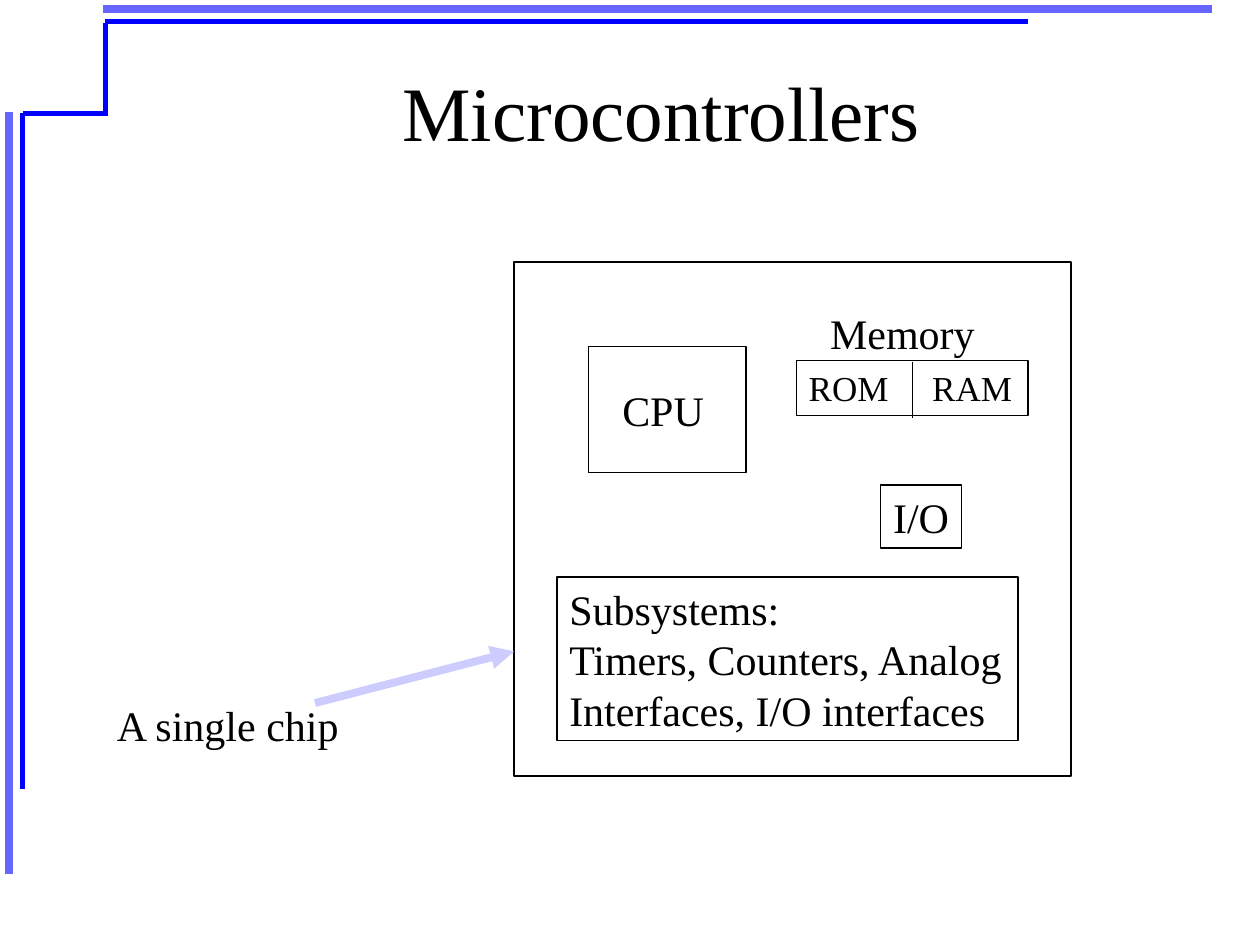
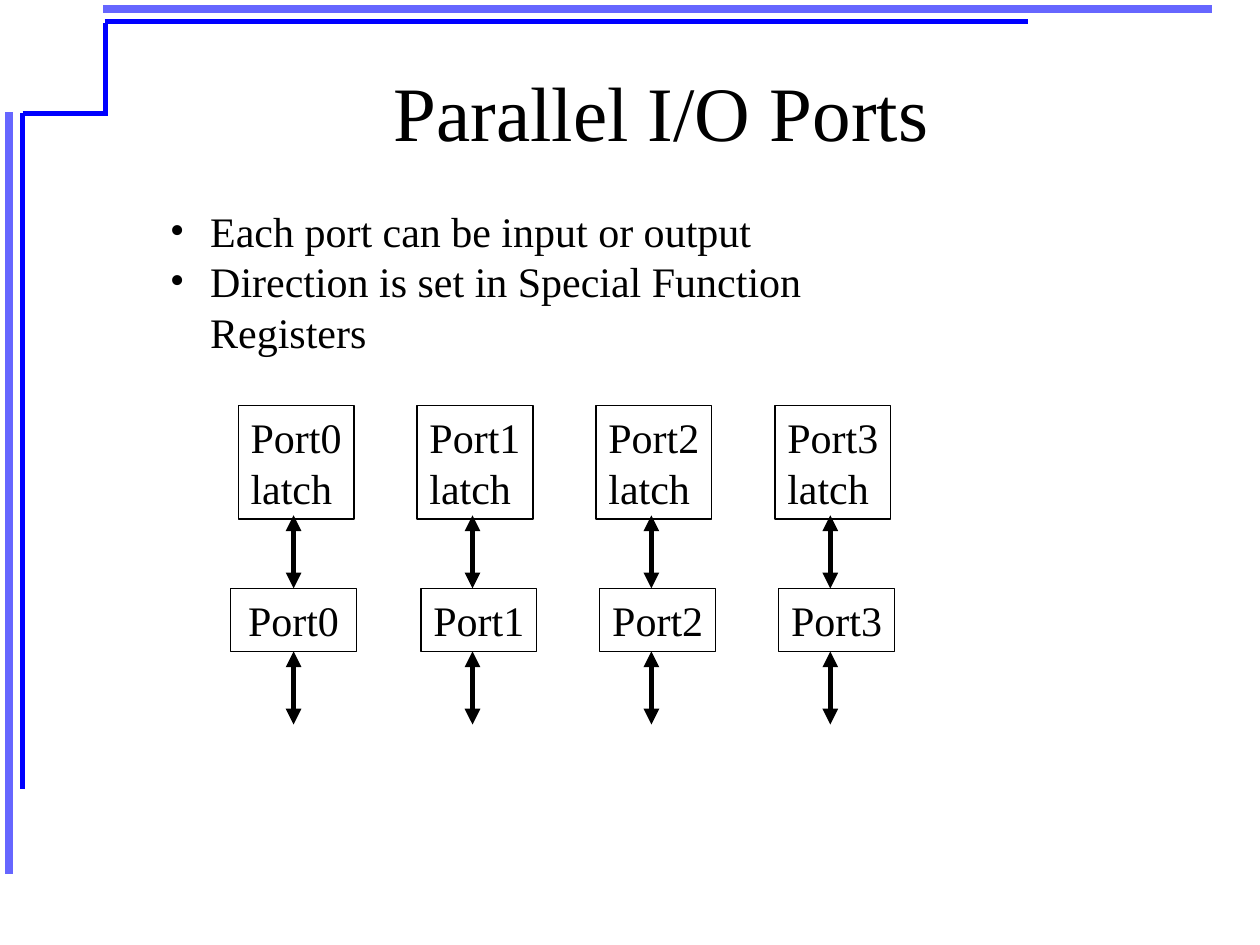
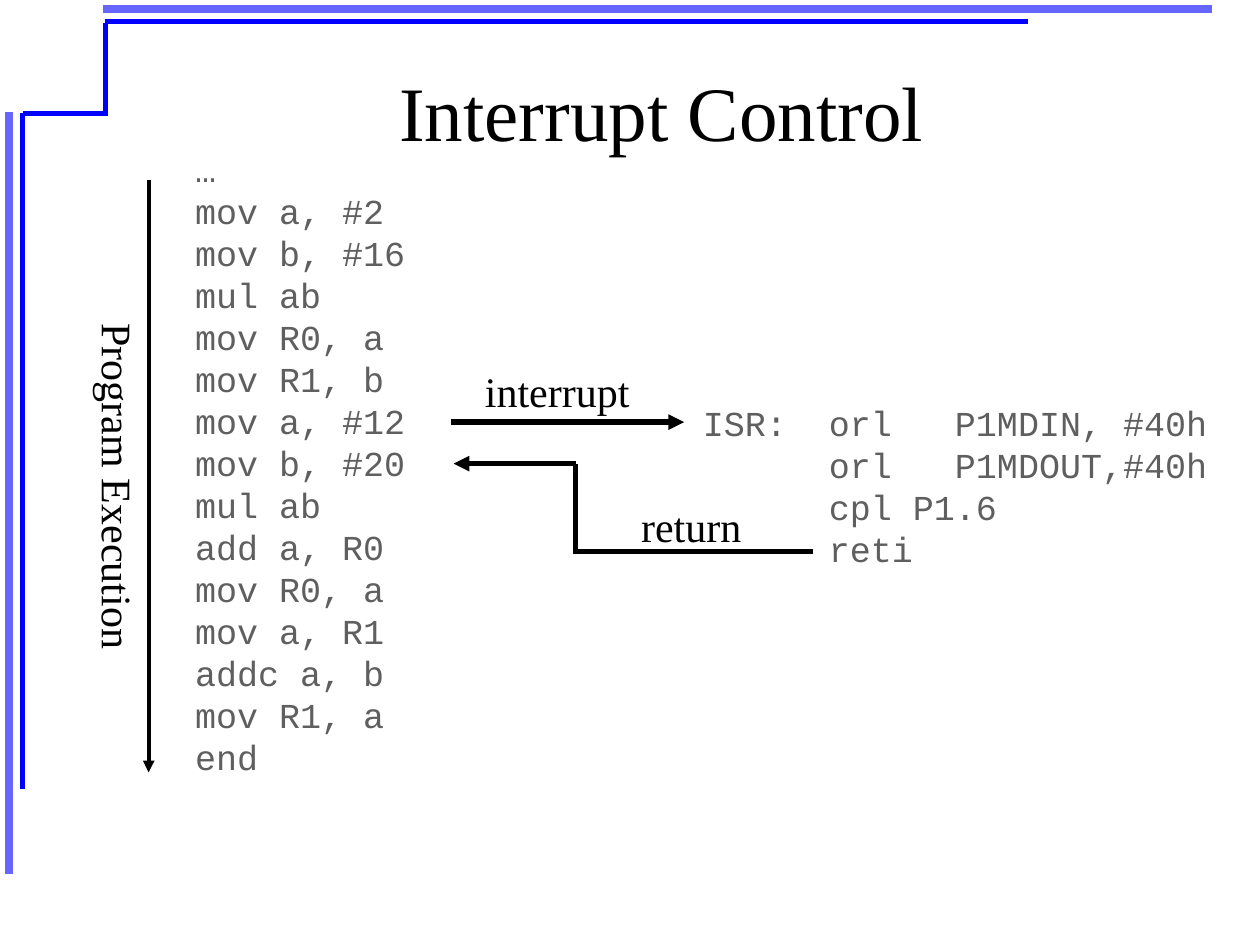
"""Build three slides about microcontrollers, their ports and interrupts."""
from lxml import etree
from pptx import Presentation
from pptx.dml.color import RGBColor
from pptx.enum.shapes import MSO_CONNECTOR, MSO_SHAPE
from pptx.enum.text import MSO_ANCHOR, PP_ALIGN
from pptx.oxml.ns import qn
from pptx.util import Inches, Pt

LINE = MSO_CONNECTOR.STRAIGHT
RECT = MSO_SHAPE.RECTANGLE
TOP, MIDDLE = MSO_ANCHOR.TOP, MSO_ANCHOR.MIDDLE
LEFT, CENTER = PP_ALIGN.LEFT, PP_ALIGN.CENTER

COLORS = {"ink": "000000", "code": "5F5F5F", "blue": "0000FF",
          "soft": "6666FF", "pale": "CCCCFF"}
SERIF, MONO = "Times New Roman", "Courier New"

FRAME = [
    ((0.07, 0.89), (0.07, 6.94), "soft", 4.5),
    ((0.82, 0.07), (9.62, 0.07), "soft", 4.5),
    ((0.18, 0.9), (0.18, 6.26), "blue", 3),
    ((0.83, 0.17), (8.16, 0.17), "blue", 3),
    ((0.18, 0.9), (0.85, 0.9), "blue", 3),
    ((0.84, 0.92), (0.84, 0.18), "blue", 3),
]

MAIN = ["…", "mov a, #2", "mov b, #16", "mul ab", "mov R0, a", "mov R1, b",
        "mov a, #12", "mov b, #20", "mul ab", "add a, R0", "mov R0, a",
        "mov a, R1", "addc a, b", "mov R1, a", "end"]
ISR = ["ISR:\torl   P1MDIN, #40h", "\torl   P1MDOUT,#40h",
       "\tcpl P1.6", "\treti"]


def color(name):
    """Return the named colour."""
    return RGBColor.from_string(COLORS[name])


def line(slide, start, end, ink="ink", width=3, head=False, tail=False):
    """Draw a straight line with optional arrowheads."""
    link = slide.shapes.add_connector(LINE, *map(Inches, start + end))
    link.line.color.rgb = color(ink)
    link.line.width = Pt(width)
    stroke = link.line._get_or_add_ln()
    for tag, shown in (("a:headEnd", head), ("a:tailEnd", tail)):
        if shown:
            etree.SubElement(stroke, qn(tag), type="triangle")
    etree.SubElement(link._element.spPr, qn("a:effectLst"))


def bullet(para, hang):
    """Give a paragraph a round bullet and a hanging indent."""
    props = para._p.get_or_add_pPr()
    props.set("marL", str(Inches(hang)))
    props.set("indent", str(-Inches(hang)))
    etree.SubElement(props, qn("a:buFont"), typeface=SERIF)
    etree.SubElement(props, qn("a:buChar"), char="•")


def tab(para, stop):
    """Set one left tab stop."""
    tabs = etree.SubElement(para._p.get_or_add_pPr(), qn("a:tabLst"))
    etree.SubElement(tabs, qn("a:tab"), pos=str(Inches(stop)), algn="l")


def write(shape, rows, size=24, font=SERIF, ink="ink", align=LEFT,
          anchor=TOP, wrap=False, stop=None, hang=None):
    """Fill a shape with one paragraph for each row."""
    frame = shape.text_frame
    frame.word_wrap = wrap
    frame.vertical_anchor = anchor
    for num, row in enumerate(rows):
        para = frame.add_paragraph() if num else frame.paragraphs[0]
        para.alignment = align
        if hang:
            bullet(para, hang)
        if stop:
            tab(para, stop)
        run = para.add_run()
        run.text = row
        run.font.size = Pt(size)
        run.font.name = font
        run.font.color.rgb = color(ink)


def label(slide, at, *rows, turn=0, **style):
    """Add a plain text box."""
    shape = slide.shapes.add_textbox(*map(Inches, at))
    shape.rotation = turn
    write(shape, rows, **style)


def box(slide, at, *rows, **style):
    """Add an outlined box, with text if there is any."""
    shape = slide.shapes.add_shape(RECT, *map(Inches, at))
    shape.shadow.inherit = False
    shape.fill.background()
    shape.line.color.rgb = color("ink")
    shape.line.width = Pt(0.75)
    write(shape, rows, **style)


def start(deck, title):
    """Add a slide with the shared frame and title."""
    slide = deck.slides.add_slide(deck.slide_layouts[6])
    for item in FRAME:
        line(slide, *item)
    label(slide, (1, 0.25, 8.5, 1.25), title, size=44, align=CENTER,
          anchor=MIDDLE, wrap=True)
    return slide


def chip(deck):
    """Draw the parts inside a single chip."""
    slide = start(deck, "Microcontrollers")
    box(slide, (4.08, 2.08, 4.42, 4.08))
    box(slide, (4.67, 2.75, 1.25, 1))
    label(slide, (4.84, 3, 0.85, 0.5), "CPU")
    label(slide, (6.49, 2.39, 1.35, 0.5), "Memory")
    box(slide, (6.32, 2.86, 1.84, 0.44), "ROM\tRAM", size=20, wrap=True,
        stop=0.98)
    line(slide, (7.24, 2.87), (7.24, 3.32), width=0.75)
    box(slide, (6.99, 3.85, 0.64, 0.5), "I/O")
    box(slide, (4.42, 4.58, 3.66, 1.3), "Subsystems:",
        "Timers, Counters, Analog", "Interfaces, I/O interfaces")
    line(slide, (2.5, 5.58), (4.08, 5.17), "pale", 4.5, tail=True)
    label(slide, (0.83, 5.5, 2.68, 0.5), "A single chip", wrap=True)


def ports(deck):
    """Draw four ports below their latches."""
    slide = start(deck, "Parallel I/O Ports")
    label(slide, (1.25, 1.58, 6.4, 1.3), "Each port can be input or output",
          "Direction is set in Special Function Registers",
          wrap=True, hang=0.32)
    for num in range(4):
        shift = 1.42 * num
        name = f"Port{num}"
        left, wide = (1.92 + shift, 0.92) if num else (1.83, 1)
        box(slide, (1.89 + shift, 3.22, 0.92, 0.9), name, "latch")
        box(slide, (left, 4.67, wide, 0.5), name, align=CENTER)
        for top in (4.09, 5.17):
            line(slide, (2.33 + shift, top), (2.33 + shift, top + 0.58),
                 head=True, tail=True)


def breaks(deck):
    """Show how an interrupt leaves the program and returns."""
    slide = start(deck, "Interrupt Control")
    code = {"size": 20, "font": MONO, "ink": "code"}
    label(slide, (1.45, 1.12, 1.87, 5.1), *MAIN, **code)
    line(slide, (1.18, 1.43), (1.18, 6.13), width=2.25, tail=True)
    label(slide, (-0.45, 3.61, 2.78, 0.5), "Program Execution", turn=90)
    line(slide, (3.58, 3.35), (5.43, 3.35), tail=True)
    label(slide, (3.75, 2.85, 1.35, 0.5), "interrupt")
    label(slide, (5.48, 3.14, 4.27, 1.44), *ISR, wrap=True, stop=1, **code)
    line(slide, (6.45, 4.38), (4.55, 4.38))
    line(slide, (4.57, 4.4), (4.57, 3.68))
    line(slide, (4.57, 3.68), (3.6, 3.68), tail=True)
    label(slide, (4.99, 3.92, 1.1, 0.5), "return", wrap=True)


def main():
    """Build and save the deck."""
    deck = Presentation()
    deck.slide_width, deck.slide_height = Inches(10), Inches(7.5)
    chip(deck)
    ports(deck)
    breaks(deck)
    deck.save("out.pptx")


if __name__ == "__main__":
    main()
